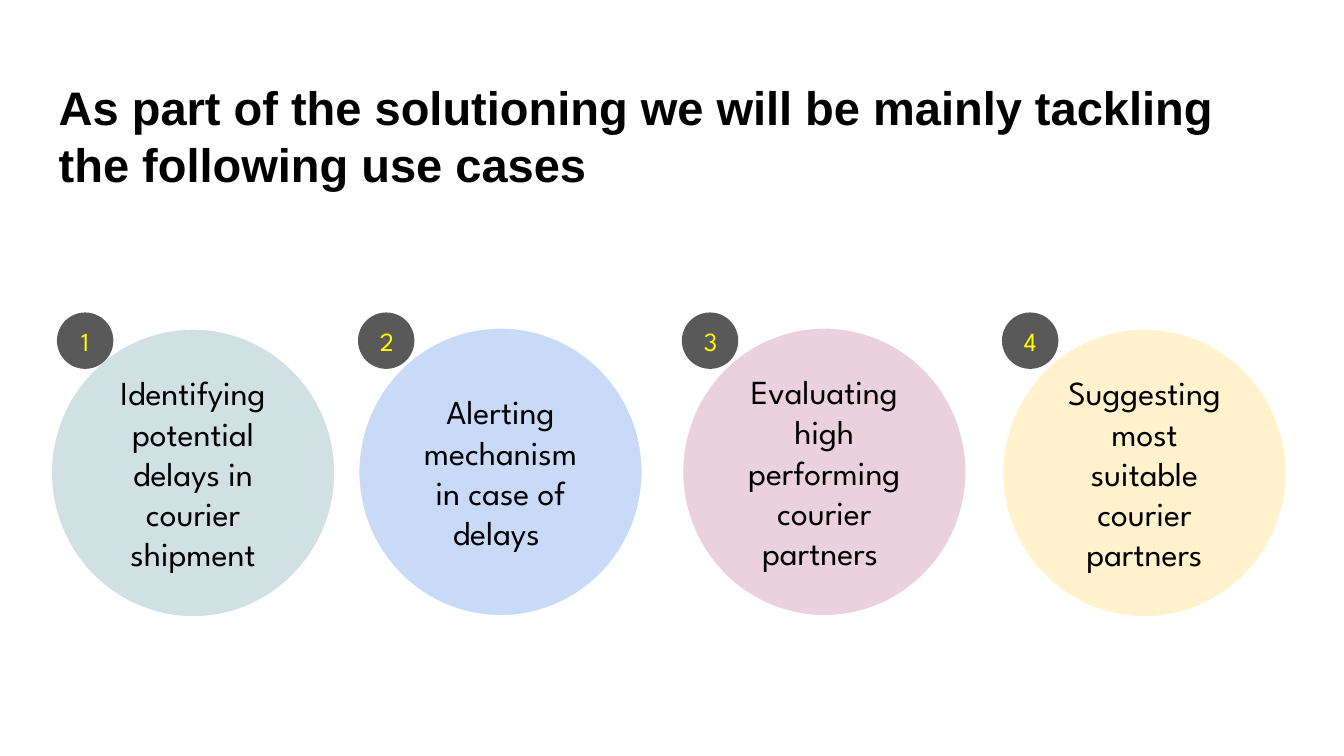
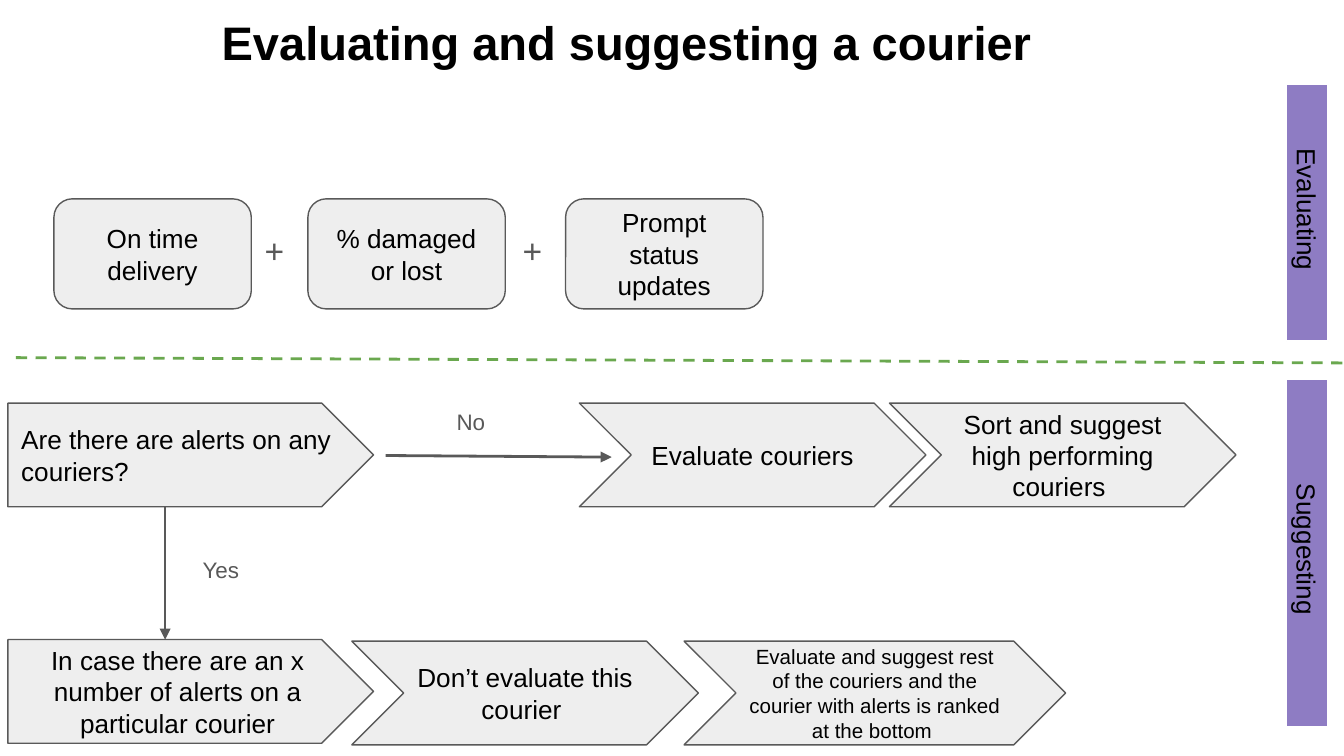
"""Build two slides on courier use cases and courier evaluation."""

import dataclasses
import typing

import lxml.etree
import pptx
import pptx.dml.color
import pptx.enum.dml
import pptx.enum.shapes
import pptx.enum.text
import pptx.oxml.ns
import pptx.util

Cm = pptx.util.Cm
Shapes = pptx.enum.shapes.MSO_SHAPE
Align = pptx.enum.text.PP_ALIGN
Anchor = pptx.enum.text.MSO_ANCHOR

BLACK = "000000"
WHITE = "FFFFFF"
GRAY = "595959"
PALE_GRAY = "EEEEEE"
YELLOW = "FFFF00"
GREEN = "6AA84F"
PURPLE = "8E7CC3"
ROUNDED_FONT = "League Spartan"
MAIN_FONT = "Arial"


class Box(typing.NamedTuple):
    """Left, top, width and height in centimetres."""

    left: float
    top: float
    width: float
    height: float


@dataclasses.dataclass(frozen=True)
class TextStyle:
    """Look of a run and its paragraph."""

    size: float
    color: str = BLACK
    font: str = MAIN_FONT
    bold: bool = False
    align: typing.Any = Align.CENTER


TITLE = TextStyle(25.2, bold=True, align=Align.LEFT)
CIRCLE = TextStyle(18, font=ROUNDED_FONT)
BADGE = TextStyle(14, YELLOW, ROUNDED_FONT)
BODY = TextStyle(14)
QUESTION = TextStyle(14, align=Align.LEFT)
SMALL = TextStyle(11)
PLUS = TextStyle(18, GRAY, align=Align.LEFT)
ANSWER = TextStyle(12, GRAY, align=Align.LEFT)


@dataclasses.dataclass(frozen=True)
class Node:
    """A filled preset shape with text."""

    kind: typing.Any
    box: Box
    lines: tuple[str, ...]
    style: TextStyle = BODY
    fill: str = PALE_GRAY
    outline: str = GRAY
    rotation: float = 0


@dataclasses.dataclass(frozen=True)
class Label:
    """Free text without fill or outline."""

    box: Box
    text: str
    style: TextStyle


@dataclasses.dataclass(frozen=True)
class Link:
    """A straight line, dashed or with an arrowhead."""

    start: tuple[float, float]
    end: tuple[float, float]
    color: str = GRAY
    dashed: bool = False


class UseCase(typing.NamedTuple):
    """A numbered circle: its places, colour and paragraphs."""

    left: float
    top: float
    badge_left: float
    fill: str
    lines: tuple[str, ...]


USE_CASES = (
    UseCase(0.97, 6.22, 1.09, "D0E0E3",
            ("Identifying", "potential delays in courier shipment")),
    UseCase(6.78, 6.2, 6.78, "C9DAF8", ("Alerting mechanism in case of delays ",)),
    UseCase(12.9, 6.2, 12.9, "EAD1DC",
            ("Evaluating high performing courier partners ",)),
    UseCase(18.95, 6.22, 18.95, "FFF2CC",
            ("Suggesting most suitable courier partners",)),
)

METRICS = (
    (1.02, "On time delivery"),
    (5.82, "% damaged or lost"),
    (10.69, "Prompt status updates"),
)

STEP_HEIGHT = 1.96
QUESTION_TOP = 7.62
ALERT_TOP = 12.09
STEPS = (
    Node(Shapes.PENTAGON, Box(0.15, QUESTION_TOP, 6.91, STEP_HEIGHT),
         ("Are there are alerts on any couriers?",), QUESTION),
    Node(Shapes.CHEVRON, Box(10.95, QUESTION_TOP, 6.55, STEP_HEIGHT),
         ("Evaluate couriers",)),
    Node(Shapes.CHEVRON, Box(16.81, QUESTION_TOP, 6.55, STEP_HEIGHT),
         ("Sort and suggest high performing couriers ",)),
    Node(Shapes.PENTAGON, Box(0.15, ALERT_TOP, 6.91, STEP_HEIGHT),
         ("In case there are an x number of alerts on a particular courier",)),
    Node(Shapes.CHEVRON, Box(6.65, 12.12, 6.55, STEP_HEIGHT),
         ("Don’t evaluate this courier ",)),
    Node(Shapes.CHEVRON, Box(12.93, 12.12, 7.21, STEP_HEIGHT),
         ("Evaluate and suggest rest of the couriers and the courier with alerts"
          " is ranked at the bottom ",), SMALL),
)

SECTION_BARS = (
    (Box(22.28, 3.63, 4.85, 0.79), "Evaluating "),
    (Box(21.41, 10.06, 6.58, 0.79), "Suggesting "),
)

LABELS = (
    Label(Box(4.75, 4.09, 0.64, 1.02), "+", PLUS),
    Label(Box(9.63, 4.09, 0.64, 1.02), "+", PLUS),
    Label(Box(8.38, 7.47, 1.3, 0.84), "No", ANSWER),
    Label(Box(3.58, 10.26, 1.3, 0.84), "Yes", ANSWER),
)

LINKS = (
    Link((0.3, 6.76), (25.4, 6.86), GREEN, dashed=True),
    Link((7.29, 8.61), (11.56, 8.64)),
    Link((3.12, QUESTION_TOP + STEP_HEIGHT), (3.12, ALERT_TOP)),
)


def rgb(color: str) -> pptx.dml.color.RGBColor:
    """Turn a hex string into a colour."""
    return pptx.dml.color.RGBColor.from_string(color)


def write_text(shape: typing.Any, lines: tuple[str, ...], style: TextStyle,
               anchor: typing.Any) -> None:
    """Write one paragraph per line into a shape."""
    frame = shape.text_frame
    frame.word_wrap = True
    frame.vertical_anchor = anchor
    frame.margin_left = frame.margin_right = Cm(0.25)
    frame.margin_top = frame.margin_bottom = Cm(0.25)
    for index, line in enumerate(lines):
        paragraph = frame.add_paragraph() if index else frame.paragraphs[0]
        paragraph.alignment = style.align
        run = paragraph.add_run()
        run.text = line
        run.font.name = style.font
        run.font.size = pptx.util.Pt(style.size)
        run.font.bold = style.bold
        run.font.color.rgb = rgb(style.color)


def draw_node(slide: typing.Any, node: Node) -> None:
    """Draw a filled shape with its text."""
    shape = slide.shapes.add_shape(node.kind, *map(Cm, node.box))
    shape.shadow.inherit = False
    shape.rotation = node.rotation
    shape.fill.solid()
    shape.fill.fore_color.rgb = rgb(node.fill)
    shape.line.color.rgb = rgb(node.outline)
    shape.line.width = pptx.util.Pt(0.75)
    write_text(shape, node.lines, node.style, Anchor.MIDDLE)


def draw_label(slide: typing.Any, label: Label) -> None:
    """Draw a text box."""
    shape = slide.shapes.add_textbox(*map(Cm, label.box))
    write_text(shape, (label.text,), label.style, Anchor.TOP)


def draw_link(slide: typing.Any, link: Link) -> None:
    """Draw a dashed line or an arrow."""
    connector = slide.shapes.add_connector(
        pptx.enum.shapes.MSO_CONNECTOR.STRAIGHT, *map(Cm, link.start + link.end))
    connector.line.color.rgb = rgb(link.color)
    connector.line.width = pptx.util.Pt(1.5)
    if link.dashed:
        connector.line.dash_style = pptx.enum.dml.MSO_LINE.DASH
    else:
        lxml.etree.SubElement(connector.line._get_or_add_ln(),
                              pptx.oxml.ns.qn("a:tailEnd"), type="triangle")
    lxml.etree.SubElement(connector._element.spPr, pptx.oxml.ns.qn("a:effectLst"))


def add_slide(presentation: typing.Any, title: str, left: float, top: float) -> typing.Any:
    """Add a blank slide with a title."""
    slide = presentation.slides.add_slide(presentation.slide_layouts[6])
    slide.background.fill.solid()
    slide.background.fill.fore_color.rgb = rgb(WHITE)
    draw_label(slide, Label(Box(left, top, 23.67, 1.6), title, TITLE))
    return slide


def build_use_cases(presentation: typing.Any) -> None:
    """Build the slide with four numbered circles."""
    slide = add_slide(
        presentation,
        "As part of the solutioning we will be mainly tackling the following use cases",
        0.86, 1.24)
    for number, case in enumerate(USE_CASES, start=1):
        draw_node(slide, Node(Shapes.OVAL, Box(case.left, case.top, 5.36, 5.44),
                              case.lines, CIRCLE, case.fill, WHITE))
        draw_node(slide, Node(Shapes.OVAL, Box(case.badge_left, 5.92, 1.04, 1.04),
                              (str(number),), BADGE, GRAY))


def build_evaluation(presentation: typing.Any) -> None:
    """Build the slide with the evaluation and suggestion flow."""
    slide = add_slide(presentation, "Evaluating and suggesting a courier", 3.94, 0)
    for left, text in METRICS:
        draw_node(slide, Node(Shapes.ROUNDED_RECTANGLE, Box(left, 3.76, 3.73, 2.08),
                              (text,)))
    for step in STEPS:
        draw_node(slide, step)
    for link in LINKS:
        draw_link(slide, link)
    for label in LABELS:
        draw_label(slide, label)
    for box, text in SECTION_BARS:
        draw_node(slide, Node(Shapes.RECTANGLE, box, (text,), fill=PURPLE,
                              outline=WHITE, rotation=90))


def main() -> None:
    """Build and save the presentation."""
    presentation = pptx.Presentation()
    presentation.slide_width = Cm(25.4)
    presentation.slide_height = Cm(14.29)
    build_use_cases(presentation)
    build_evaluation(presentation)
    presentation.save("out.pptx")


if __name__ == "__main__":
    main()
